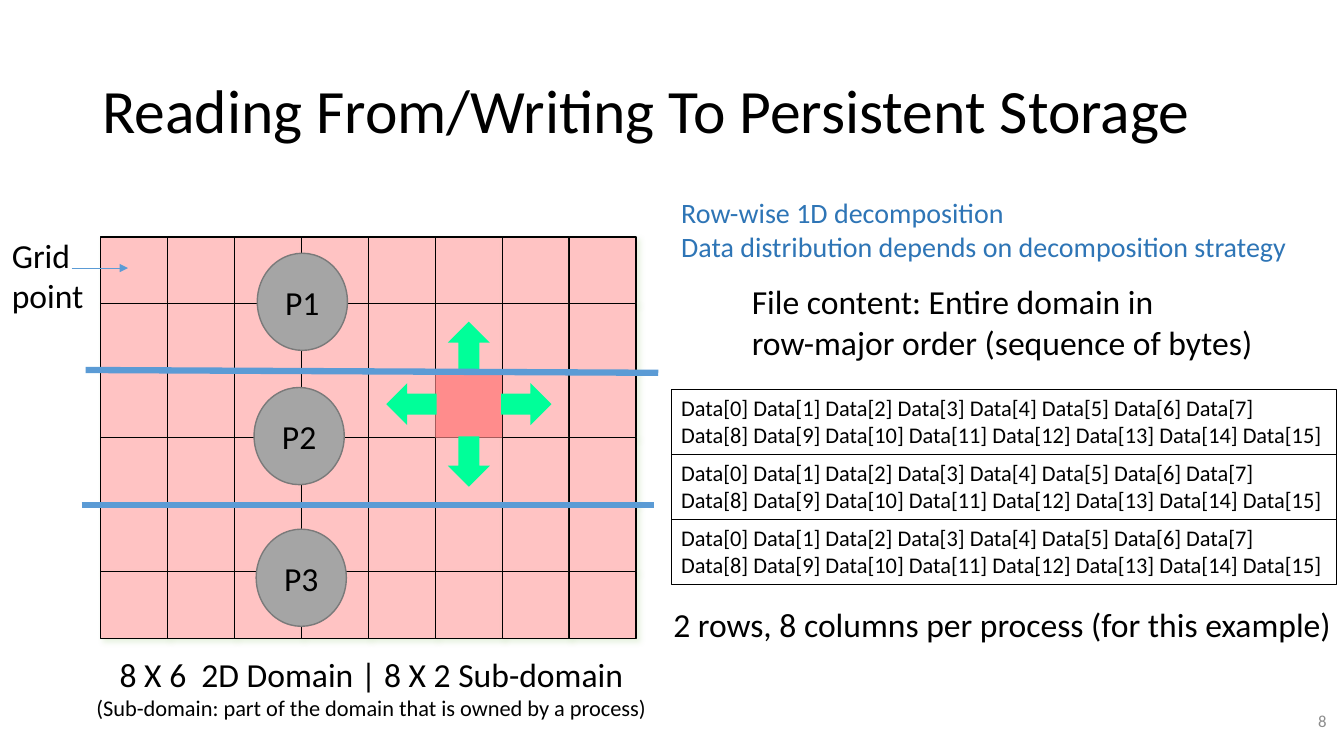
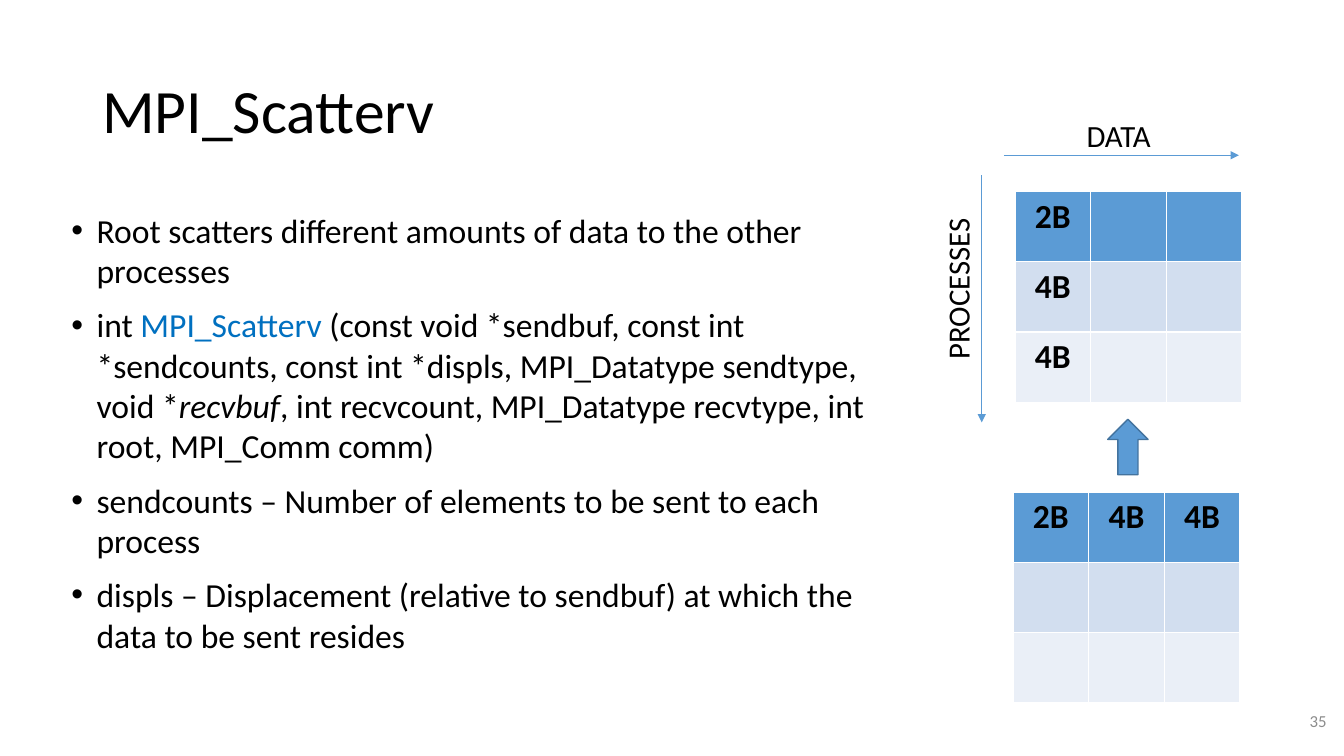
from dataclasses import dataclass
from itertools import product

from lxml import etree
from pptx import Presentation
from pptx.dml.color import RGBColor
from pptx.enum.shapes import MSO_CONNECTOR, MSO_SHAPE
from pptx.enum.text import MSO_ANCHOR, PP_ALIGN
from pptx.oxml.ns import qn
from pptx.util import Pt

RECTANGLE = MSO_SHAPE.RECTANGLE
OVAL = MSO_SHAPE.OVAL
RIGHT_ARROW = MSO_SHAPE.RIGHT_ARROW
UP_ARROW = MSO_SHAPE.UP_ARROW
STRAIGHT = MSO_CONNECTOR.STRAIGHT
LEFT, CENTER, RIGHT = PP_ALIGN.LEFT, PP_ALIGN.CENTER, PP_ALIGN.RIGHT
TOP, MIDDLE = MSO_ANCHOR.TOP, MSO_ANCHOR.MIDDLE


@dataclass(frozen=True)
class Theme:
    font: str = "Calibri"
    title: int = 44
    body: int = 24
    axis: int = 22
    remark: int = 20
    small: int = 16
    footer: int = 12
    black: str = "000000"
    white: str = "FFFFFF"
    grey: str = "8C8C8C"
    blue: str = "5B9BD5"
    blue_edge: str = "43739E"
    remark_blue: str = "2E75B6"
    function_blue: str = "0070C0"
    cell: str = "FFC3C3"
    active_cell: str = "FF8C8C"
    cell_shadow: str = "C5E0B4"
    exchange: str = "00FF99"
    process: str = "A5A5A5"
    process_edge: str = "7A7A7A"
    table_rows: tuple = ("5B9BD5", "D2DEEF", "EAEFF7")


THEME = Theme()


def rgb(color):
    return RGBColor.from_string(color)


def child(parent, tag, **attributes):
    element = etree.SubElement(parent, qn(tag))
    for key, value in attributes.items():
        element.set(key, str(value))
    return element


def style_run(run, size, color=THEME.black, bold=False, italic=False):
    run.font.name = THEME.font
    run.font.size = Pt(size)
    run.font.color.rgb = rgb(color)
    run.font.bold = bold
    run.font.italic = italic


def write(frame, lines, size, color=THEME.black, align=LEFT, bold=False):
    frame.text = "\n".join(lines)
    for paragraph in frame.paragraphs:
        paragraph.alignment = align
        for run in paragraph.runs:
            style_run(run, size, color, bold)


def add_label(slide, area, lines, size, color=THEME.black, align=LEFT,
              anchor=TOP, wrap=False):
    label = slide.shapes.add_textbox(*map(Pt, area))
    label.text_frame.word_wrap = wrap
    label.text_frame.vertical_anchor = anchor
    write(label.text_frame, lines, size, color, align)
    return label


def add_figure(slide, kind, area, fill=None, edge=None, weight=1):
    figure = slide.shapes.add_shape(kind, *map(Pt, area))
    figure.shadow.inherit = False
    if fill:
        figure.fill.solid()
        figure.fill.fore_color.rgb = rgb(fill)
    else:
        figure.fill.background()
    if edge:
        figure.line.color.rgb = rgb(edge)
        figure.line.width = Pt(weight)
    else:
        figure.line.fill.background()
    return figure


def add_line(slide, start, end, weight, arrow=False):
    line = slide.shapes.add_connector(STRAIGHT, *map(Pt, start + end))
    line.line.color.rgb = rgb(THEME.blue)
    line.line.width = Pt(weight)
    if arrow:
        child(line.line._get_or_add_ln(), "a:tailEnd", type="triangle")
    child(line._element.spPr, "a:effectLst")


def add_cell_shadow(figure):
    effects = figure._element.spPr.find(qn("a:effectLst"))
    shadow = child(effects, "a:outerShdw", blurRad=Pt(4), dist=Pt(3),
                   dir=45 * 60000, algn="tl", rotWithShape=0)
    tint = child(shadow, "a:srgbClr", val=THEME.cell_shadow)
    child(tint, "a:alpha", val=40000)


def add_domain_grid(slide, left, top, pitch, columns, rows):
    for column, row in product(range(columns), range(rows)):
        area = (left + column * pitch, top + row * pitch, pitch, pitch)
        add_cell_shadow(add_figure(slide, RECTANGLE, area, THEME.cell, THEME.black))


def add_exchange(slide, left, top, pitch):
    add_figure(slide, RECTANGLE, (left, top, pitch, pitch), THEME.active_cell)
    length, breadth, reach = 36, 30, 41
    directions = {0: (1, 0), 90: (0, 1), 180: (-1, 0), 270: (0, -1)}
    for angle, (across, down) in directions.items():
        area = (left + pitch / 2 + across * reach - length / 2,
                top + pitch / 2 + down * reach - breadth / 2, length, breadth)
        add_figure(slide, RIGHT_ARROW, area, THEME.exchange).rotation = angle


def add_process(slide, left, top, name):
    circle = add_figure(slide, OVAL, (left, top, 64.4, 69.4),
                        THEME.process, THEME.process_edge)
    circle.text_frame.vertical_anchor = MIDDLE
    write(circle.text_frame, [name], THEME.body, align=CENTER)


def add_file_block(slide, area, lines):
    block = add_figure(slide, RECTANGLE, area, edge=THEME.black, weight=0.75)
    block.text_frame.vertical_anchor = TOP
    write(block.text_frame, lines, THEME.small)


def add_bullets(slide, area, bullets):
    frame = slide.shapes.add_textbox(*map(Pt, area)).text_frame
    frame.word_wrap = True
    for index, spans in enumerate(bullets):
        paragraph = frame.add_paragraph() if index else frame.paragraphs[0]
        paragraph.space_before = Pt(10)
        properties = paragraph._p.get_or_add_pPr()
        properties.set("marL", str(Pt(18)))
        properties.set("indent", str(Pt(-18)))
        child(properties, "a:buFont", typeface="Arial")
        child(properties, "a:buChar", char="•")
        for text, emphasis in spans:
            run = paragraph.add_run()
            run.text = text
            style_run(run, THEME.body, **emphasis)


def add_buffer_table(slide, left, top, rows):
    side, height = 54, 50.2
    columns = len(rows[0])
    table = slide.shapes.add_table(len(rows), columns, Pt(left), Pt(top),
                                   Pt(side * columns), Pt(height * len(rows))).table
    for column in table.columns:
        column.width = Pt(side)
    for row, values, fill in zip(table.rows, rows, THEME.table_rows):
        row.height = Pt(height)
        for cell, value in zip(row.cells, values):
            for edge in ("a:lnL", "a:lnR", "a:lnT", "a:lnB"):
                border = child(cell._tc.get_or_add_tcPr(), edge, w=Pt(1))
                child(child(border, "a:solidFill"), "a:srgbClr", val=THEME.white)
            cell.fill.solid()
            cell.fill.fore_color.rgb = rgb(fill)
            if value:
                write(cell.text_frame, [value], THEME.body, align=CENTER, bold=True)


def start_slide(deck, title, number):
    slide = deck.slides.add_slide(deck.slide_layouts[6])
    heading = add_label(slide, (66, 28.8, 828, 104.4), [title], THEME.title,
                        anchor=MIDDLE, wrap=True)
    heading.text_frame.paragraphs[0].line_spacing = 0.9
    add_label(slide, (738.7, 500.4, 216, 28.8), [number], THEME.footer,
              THEME.grey, RIGHT, MIDDLE, True)
    return slide


def build_storage_slide(deck):
    slide = start_slide(deck, "Reading From/Writing To Persistent Storage", "8")
    left, top, pitch = 72, 169.2, 47.8
    add_domain_grid(slide, left, top, pitch, columns=8, rows=6)
    add_exchange(slide, left + 5 * pitch, top + 2 * pitch, pitch)
    add_line(slide, (61.2, 264.3), (470.2, 266.3), 4.5)
    add_line(slide, (58.3, 360.7), (467.3, 360.7), 4.5)
    add_line(slide, (51.1, 191.5), (91.4, 191.5), 0.5, arrow=True)
    add_label(slide, (1.4, 164.2, 87.1, 65.5), ["Grid point"], THEME.body, wrap=True)
    for name, x, y in (("P1", 183.8, 180.9), ("P2", 181.5, 276.8), ("P3", 183, 378)):
        add_process(slide, x, y, name)

    caption = add_label(
        slide, (61.2, 463.7, 408.2, 55.4),
        ["8 X 6  2D Domain | 8 X 2 Sub-domain",
         "(Sub-domain: part of the domain that is owned by a process)"],
        THEME.body, align=CENTER)
    caption.text_frame.paragraphs[1].runs[0].font.size = Pt(THEME.small)

    add_label(slide, (479.5, 136.1, 450.7, 55.4),
              ["Row-wise 1D decomposition",
               "Data distribution depends on decomposition strategy"],
              THEME.remark, THEME.remark_blue)
    add_label(slide, (529.9, 197.3, 375.8, 65.5),
              ["File content: Entire domain in",
               "row-major order (sequence of bytes)"], THEME.body)
    file_lines = [" ".join(f"Data[{i}]" for i in range(first, first + 8))
                  for first in (0, 8)]
    block_height = 46.5
    for process in range(3):
        area = (479.5, 277.9 + process * block_height, 475.2, block_height)
        add_file_block(slide, area, file_lines)
    add_label(slide, (473.8, 427.7, 488.2, 36),
              ["2 rows, 8 columns per process (for this example)"], THEME.body)


def build_scatterv_slide(deck):
    slide = start_slide(deck, "MPI_Scatterv", "35")
    add_bullets(slide, (43.9, 146.2, 606.2, 342.7), [
        [("Root scatters different amounts of data to the other processes", {})],
        [("int ", {}),
         ("MPI_Scatterv", {"color": THEME.function_blue}),
         (" (const void *sendbuf, const int *sendcounts, const int *displs, "
          "MPI_Datatype sendtype, void *", {}),
         ("recvbuf", {"italic": True}),
         (", int recvcount, MPI_Datatype recvtype, int root, MPI_Comm comm)", {})],
        [("sendcounts – Number of elements to be sent to each process", {})],
        [("displs – Displacement (relative to sendbuf) at which the data "
          "to be sent resides", {})],
    ])
    empty = ("", "", "")
    add_buffer_table(slide, 723.6, 351.4, [("2B", "4B", "4B"), empty, empty])
    add_buffer_table(slide, 725, 136.8,
                     [("2B", "", ""), ("4B", "", ""), ("4B", "", "")])
    add_figure(slide, UP_ARROW, (791.3, 299.5, 28.8, 39.6),
               THEME.blue, THEME.blue_edge)
    add_line(slide, (717.1, 110.9), (884.9, 110.9), 0.5, arrow=True)
    add_label(slide, (769, 79.9, 61.2, 33.8), ["DATA"], THEME.axis)
    add_line(slide, (701.3, 125.3), (701.3, 301.7), 0.5, arrow=True)
    processes = add_label(slide, (625.7, 188.6, 116.6, 33.8), ["PROCESSES"], THEME.axis)
    processes.rotation = 270


def main():
    deck = Presentation()
    deck.slide_width, deck.slide_height = Pt(960), Pt(540)
    build_storage_slide(deck)
    build_scatterv_slide(deck)
    deck.save("out.pptx")


if __name__ == "__main__":
    main()
